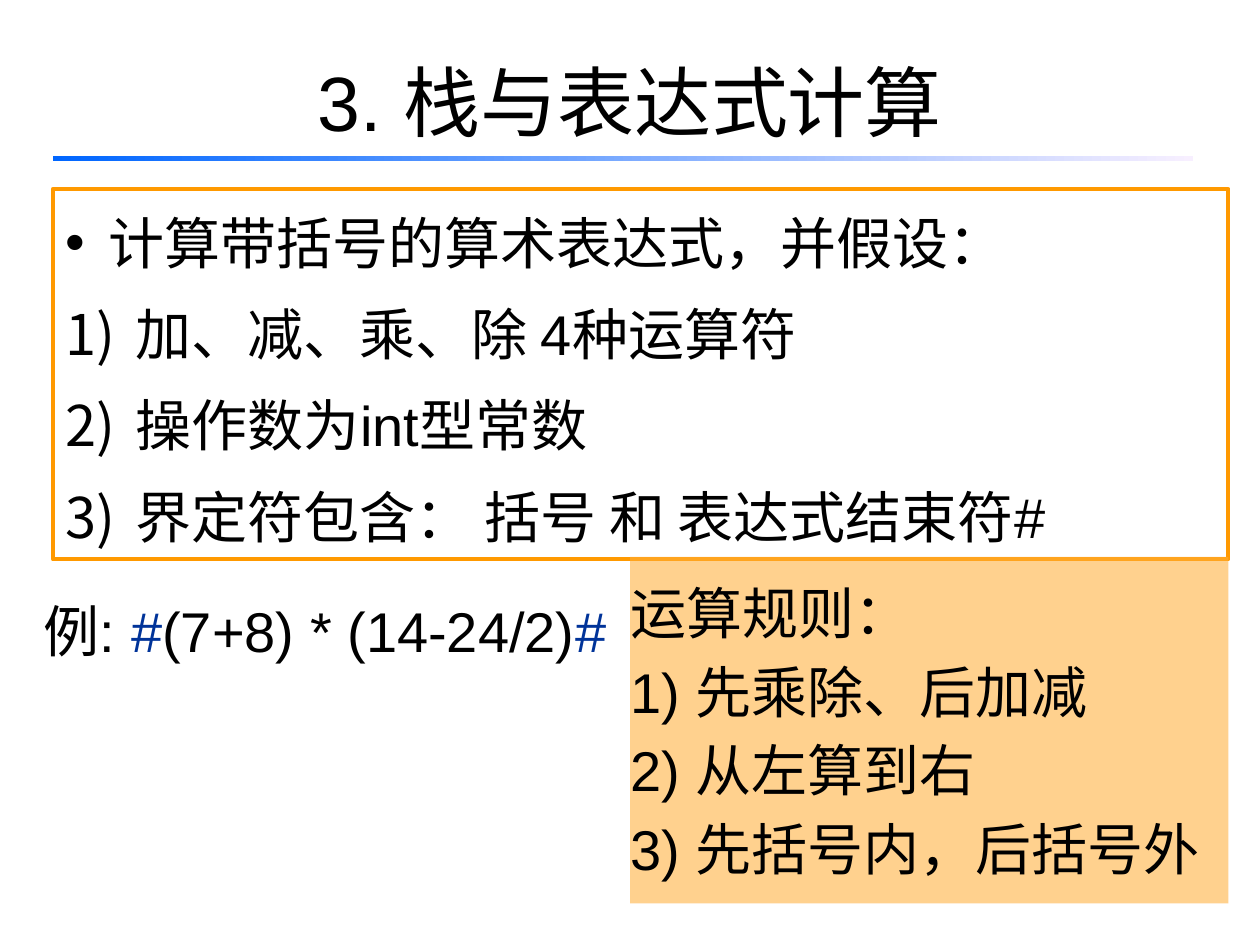
from dataclasses import dataclass
from typing import Optional

from pptx import Presentation
from pptx.dml.color import RGBColor
from pptx.enum.shapes import MSO_SHAPE as Shape
from pptx.enum.text import MSO_ANCHOR as Anchor, PP_ALIGN as Align
from pptx.oxml.ns import qn
from pptx.util import Inches, Pt
from lxml.etree import SubElement

BLACK = RGBColor(0x00, 0x00, 0x00)
NAVY = RGBColor(0x00, 0x33, 0x99)
BLUE = RGBColor(0x00, 0x66, 0xFF)
PALE = RGBColor(0xF7, 0xEF, 0xFF)
ORANGE = RGBColor(0xFF, 0x99, 0x00)
AMBER = RGBColor(0xFF, 0xAE, 0x37)
AMBER_ALPHA = 56
NUMBER = "arabicParenR"


@dataclass
class Box:
    left: float
    top: float
    width: float
    height: float

    def emu(self) -> list:
        return [Inches(v) for v in (self.left, self.top, self.width, self.height)]


@dataclass
class Para:
    runs: list  # (text, colour) pairs
    size: int = 32
    align: Align = Align.JUSTIFY
    hang: float = 0
    bullet: Optional[str] = None  # a character, or NUMBER
    line: float = 1.0
    before: float = 0


def plain(text: str, **options) -> Para:
    return Para([(text, BLACK)], **options)


def add_para(p, para: Para) -> None:
    pPr = p._p.get_or_add_pPr()
    if para.hang:
        pPr.set("marL", str(Inches(para.hang)))
        pPr.set("indent", str(-Inches(para.hang)))
    if para.bullet == NUMBER:
        SubElement(pPr, qn("a:buAutoNum"), type=NUMBER)
    elif para.bullet:
        SubElement(pPr, qn("a:buFont"), typeface="Arial")
        SubElement(pPr, qn("a:buChar"), char=para.bullet)
    layout = {"alignment": para.align, "line_spacing": para.line,
              "space_before": Pt(para.before)}
    for name, value in layout.items():
        setattr(p, name, value)
    for text, colour in para.runs:
        r = p.add_run()
        r.text = text
        for name, value in {"name": "Arial", "size": Pt(para.size)}.items():
            setattr(r.font, name, value)
        r.font.color.rgb = colour


def write(sp, paras: list[Para], **frame) -> None:
    tf = sp.text_frame
    for name, value in {"word_wrap": True, "vertical_anchor": Anchor.TOP, **frame}.items():
        setattr(tf, name, value)
    for i, para in enumerate(paras):
        add_para(tf.add_paragraph() if i else tf.paragraphs[0], para)


def add_rect(s, box: Box):
    sp = s.shapes.add_shape(Shape.RECTANGLE, *box.emu())
    sp.shadow.inherit = False
    sp.line.fill.background()
    return sp


def add_rule(s, box: Box) -> None:
    """Bar that fades from left to right."""
    fill = add_rect(s, box).fill
    fill.gradient()
    fill.gradient_angle = 0
    for stop, position, colour in zip(fill.gradient_stops, (0, 1), (BLUE, PALE)):
        stop.position = position
        stop.color.rgb = colour


def main() -> None:
    prs = Presentation()
    prs.slide_width, prs.slide_height = Inches(10), Inches(7.5)
    s = prs.slides.add_slide(prs.slide_layouts[6])

    title = s.shapes.add_textbox(*Box(0.5, 0.17, 9, 1.25).emu())
    write(title, [plain("3. 栈与表达式计算", size=44, align=Align.CENTER)],
          vertical_anchor=Anchor.MIDDLE)
    add_rule(s, Box(0.42, 1.24, 9.05, 0.04))

    assumptions = add_rect(s, Box(0.42, 1.5, 9.33, 2.94))
    assumptions.fill.background()
    assumptions.line.color.rgb = ORANGE
    assumptions.line.width = Pt(2.25)
    items = ["加、减、乘、除 4种运算符", "操作数为int型常数", "界定符包含： 括号 和 表达式结束符#"]
    write(assumptions,
          [plain("计算带括号的算术表达式，并假设：", hang=0.34, bullet="•", line=1.2)]
          + [plain(t, hang=0.56, bullet=NUMBER, line=1.2, before=6) for t in items])

    example = s.shapes.add_textbox(*Box(0.25, 4.58, 4.83, 0.75).emu())
    write(example, [Para([("例: ", BLACK), ("#", NAVY), ("(7+8) * (14-24/2)", BLACK),
                          ("#", NAVY)], hang=0.56, line=1.2)])

    rules = add_rect(s, Box(5, 4.42, 4.75, 2.75))
    rules.fill.solid()
    rules.fill.fore_color.rgb = AMBER
    colour = rules._element.spPr.find(qn("a:solidFill"))[0]
    SubElement(colour, qn("a:alpha"), val=str(AMBER_ALPHA * 1000))
    steps = ["1) 先乘除、后加减", "2) 从左算到右", "3) 先括号内，后括号外"]
    write(rules,
          [plain("运算规则：", hang=0.38)]
          + [plain(t, hang=0.38, before=6.4) for t in steps],
          vertical_anchor=Anchor.MIDDLE, margin_left=0, margin_right=0)

    prs.save("out.pptx")


if __name__ == "__main__":
    main()
